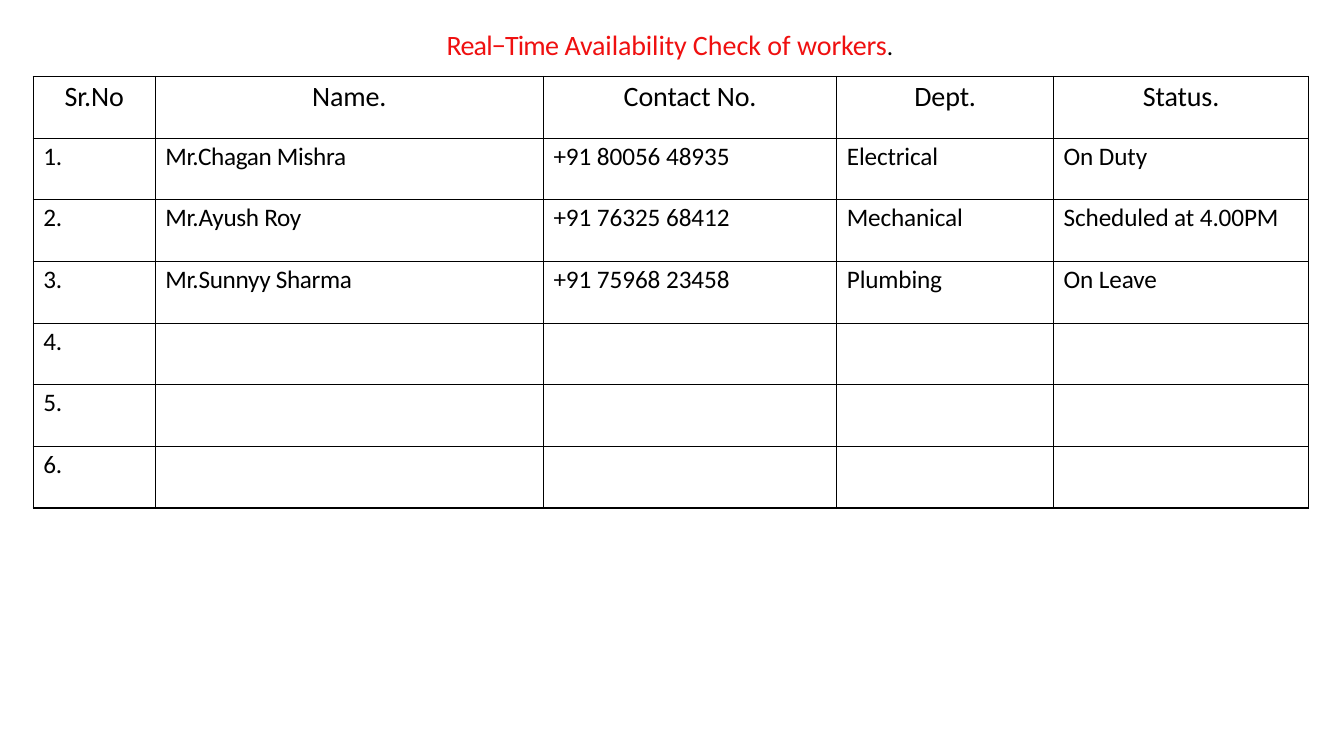
from lxml import etree
from pptx import Presentation
from pptx.dml.color import RGBColor
from pptx.enum.text import MSO_ANCHOR, MSO_AUTO_SIZE, PP_ALIGN
from pptx.oxml.ns import qn
from pptx.util import Inches, Pt

LEFT, CENTER = PP_ALIGN.LEFT, PP_ALIGN.CENTER
TOP = MSO_ANCHOR.TOP
NO_FIT = MSO_AUTO_SIZE.NONE
TITLE_ONLY = 5
FONT = "Calibri"
COLOURS = {"text": "000000", "title": "EF1010", "border": "000000"}

TITLE_SPANS = [
    ("Real−Time ", "title", 20, -0.6),
    ("Availability ", "title", 20, -0.1),
    ("Check of ", "title", 20, 0),
    ("workers", "title", 20, -0.1),
    (".", "text", 18, -0.1),
]
HEADERS = ["Sr.No", "Name.", "Contact No.", "Dept.", "Status."]
WORKERS = [
    ["Mr.Chagan Mishra", "+91 80056 48935", "Electrical", "On Duty"],
    ["Mr.Ayush Roy", "+91 76325 68412", "Mechanical", "Scheduled at 4.00PM"],
    ["Mr.Sunnyy Sharma", "+91 75968 23458", "Plumbing", "On Leave"],
]
NUMBERED_ROWS = 6
COLUMN_WIDTHS = [1.21, 3.85, 2.91, 2.15, 2.53]
BODY_TRACKING = [-0.2, -0.22, -0.05, -0.1, -0.08]


def add_text(para, text, size=18, colour="text", tracking=0):
    span = para.add_run()
    span.text = text
    span.font.name = FONT
    span.font.size = Pt(size)
    span.font.color.rgb = RGBColor.from_string(COLOURS[colour])
    span.font._element.set("spc", str(round(tracking * 100)))


def set_margins(target, top):
    target.margin_left = target.margin_right = target.margin_bottom = 0
    target.margin_top = Inches(top)


def add_borders(cell):
    properties = cell._tc.get_or_add_tcPr()
    for side in ("lnL", "lnR", "lnT", "lnB"):
        line = etree.SubElement(properties, qn(f"a:{side}"), w=str(Pt(1)))
        fill = etree.SubElement(line, qn("a:solidFill"))
        etree.SubElement(fill, qn("a:srgbClr"), val=COLOURS["border"])


def build_title(page, left, top, width, height):
    title = page.shapes.title
    title.left, title.top = Inches(left), Inches(top)
    title.width, title.height = Inches(width), Inches(height)
    frame = title.text_frame
    frame.word_wrap = True
    frame.auto_size = NO_FIT
    frame.vertical_anchor = TOP
    set_margins(frame, 0.01)
    para = frame.paragraphs[0]
    para.alignment = LEFT
    para.space_before = Pt(1)
    para._p.get_or_add_pPr().set("marL", str(Inches(0.01)))
    for text, colour, size, tracking in TITLE_SPANS:
        add_text(para, text, size=size, colour=colour, tracking=tracking)


def build_worker_table(page, left, top, height):
    rows = [HEADERS]
    for number in range(1, NUMBERED_ROWS + 1):
        details = WORKERS[number - 1] if number <= len(WORKERS) else [""] * 4
        rows.append([f"{number}."] + details)
    frame = page.shapes.add_table(
        len(rows), len(HEADERS), Inches(left), Inches(top),
        Inches(sum(COLUMN_WIDTHS)), Inches(height))
    table = frame.table
    table.first_row = table.horz_banding = False
    for column, width in zip(table.columns, COLUMN_WIDTHS):
        column.width = Inches(width)
    for row_index, values in enumerate(rows):
        table.rows[row_index].height = Inches(height / len(rows))
        for column_index, value in enumerate(values):
            cell = table.cell(row_index, column_index)
            add_borders(cell)
            cell.fill.background()
            set_margins(cell, 0.03)
            if not value:
                continue
            para = cell.text_frame.paragraphs[0]
            para.space_before = Pt(2.4)
            if row_index == 0:
                para.alignment = CENTER
                add_text(para, value, size=20, tracking=-0.1)
            else:
                para._p.get_or_add_pPr().set("marL", str(Inches(0.1)))
                add_text(para, value, tracking=BODY_TRACKING[column_index])


def main():
    deck = Presentation()
    deck.slide_width, deck.slide_height = Inches(13.33), Inches(7.5)
    page = deck.slides.add_slide(deck.slide_layouts[TITLE_ONLY])
    build_title(page, 4.42, 0.26, 4.5, 0.36)
    build_worker_table(page, 0.33, 0.76, 4.28)
    deck.save("out.pptx")


if __name__ == "__main__":
    main()
